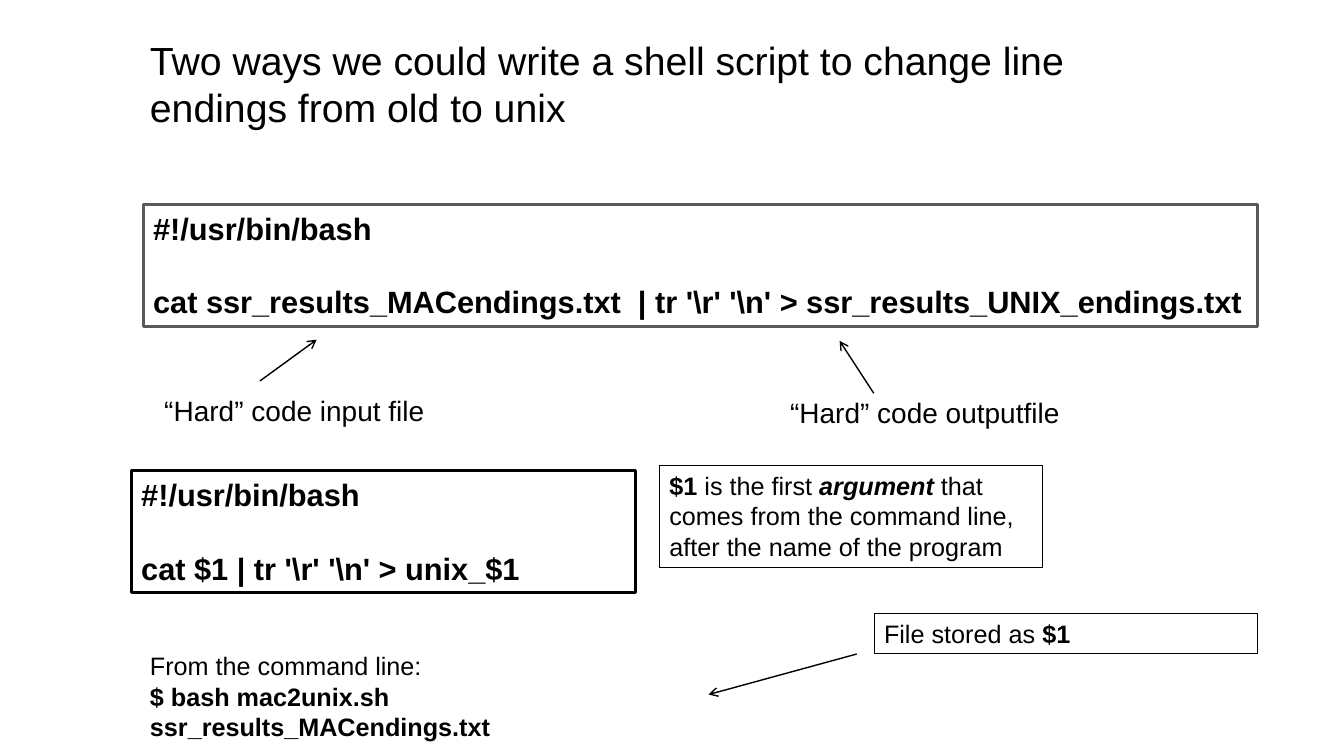
from lxml.etree import SubElement
from pptx import Presentation
from pptx.dml.color import RGBColor
from pptx.enum.shapes import MSO_CONNECTOR as Connector, MSO_SHAPE as Shape
from pptx.enum.text import MSO_ANCHOR as Anchor, MSO_AUTO_SIZE as AutoSize, PP_ALIGN as Align
from pptx.oxml.ns import qn
from pptx.util import Cm, Pt

COLORS = {"ink": "000000", "gray": "595959"}
FONT = "Arial"
CODE_GAP = 26.4

TITLE = [[("Two ways we could write a shell script to change line endings from old to unix", "")]]
HARD_CODED = [
    [("#!/usr/bin/bash", "b")],
    [("cat ssr_results_MACendings.txt  | tr '\\r' '\\n' > ssr_results_UNIX_endings.txt", "b")],
]
WITH_ARGUMENT = [
    [("#!/usr/bin/bash", "b")],
    [("cat $1 | tr '\\r' '\\n' > unix_$1", "b")],
]
COMMAND_LINE = [
    [("From the command line:", "")],
    [("$ bash mac2unix.sh ssr_results_MACendings.txt", "b")],
]
INPUT_LABEL = [[("“Hard” code input file", "")]]
OUTPUT_LABEL = [[("“Hard” code outputfile", "")]]
ARGUMENT_NOTE = [[
    ("$1 ", "b"),
    ("is the first ", ""),
    ("argument", "bi"),
    (" that comes from the command line, after the name of the program", ""),
]]
FILE_NOTE = [[("File stored as ", ""), ("$1", "b")]]

CODE = {"size": 22, "gap": CODE_GAP, "line_width": 2}
NOTE = {"size": 18, "line_width": 0.75}
BLOCKS = [
    (WITH_ARGUMENT, (3.31, 11.86, 12.7, 3.07), CODE),
    (TITLE, (3.53, 0.79, 26.16, 2.64), {"size": 28}),
    (COMMAND_LINE, (3.53, 16.27, 14.81, 1.8), {"size": 18}),
    (HARD_CODED, (3.61, 5.15, 28.09, 3.07), {**CODE, "line_color": "gray"}),
    (INPUT_LABEL, (3.89, 9.8, 7.75, 1.12), {"size": 20}),
    (OUTPUT_LABEL, (19.66, 9.85, 8.03, 1.12), {"size": 20}),
    (ARGUMENT_NOTE, (16.62, 11.73, 9.65, 2.57), NOTE),
    (FILE_NOTE, (22.03, 15.46, 9.65, 1.02), NOTE),
]
ARROWS = [
    (6.55, 9.6, 7.98, 8.56),
    (22.02, 9.91, 21.16, 8.59),
    (21.59, 16.48, 17.86, 17.5),
]


def color(name):
    return RGBColor.from_string(COLORS[name])


def add_text(page, paragraphs, place, size, gap=0, line_width=None, line_color="ink"):
    area = [Cm(length) for length in place]
    if line_width:
        box = page.shapes.add_shape(Shape.RECTANGLE, *area)
        box.shadow.inherit = False
        box.fill.background()
        box.line.color.rgb = color(line_color)
        box.line.width = Pt(line_width)
    else:
        box = page.shapes.add_textbox(*area)
    frame = box.text_frame
    frame.word_wrap = True
    frame.auto_size = AutoSize.SHAPE_TO_FIT_TEXT
    frame.vertical_anchor = Anchor.TOP
    for index, spans in enumerate(paragraphs):
        para = frame.add_paragraph() if index else frame.paragraphs[0]
        para.alignment = Align.LEFT
        if index and gap:
            para.space_before = Pt(gap)
        for text, style in spans:
            span = para.add_run()
            span.text = text
            span.font.name = FONT
            span.font.size = Pt(size)
            span.font.bold = "b" in style
            span.font.italic = "i" in style
            span.font.color.rgb = color("ink")


def add_arrow(page, ends):
    arrow = page.shapes.add_connector(Connector.STRAIGHT, *[Cm(length) for length in ends])
    arrow.line.color.rgb = color("ink")
    arrow.line.width = Pt(1)
    properties = arrow.element.spPr
    SubElement(properties.find(qn("a:ln")), qn("a:tailEnd"), type="arrow")
    SubElement(properties, qn("a:effectLst"))


def main():
    deck = Presentation()
    deck.slide_width, deck.slide_height = Cm(33.87), Cm(19.05)
    page = deck.slides.add_slide(deck.slide_layouts[6])
    for paragraphs, place, look in BLOCKS:
        add_text(page, paragraphs, place, **look)
    for ends in ARROWS:
        add_arrow(page, ends)
    deck.save("out.pptx")


if __name__ == "__main__":
    main()
